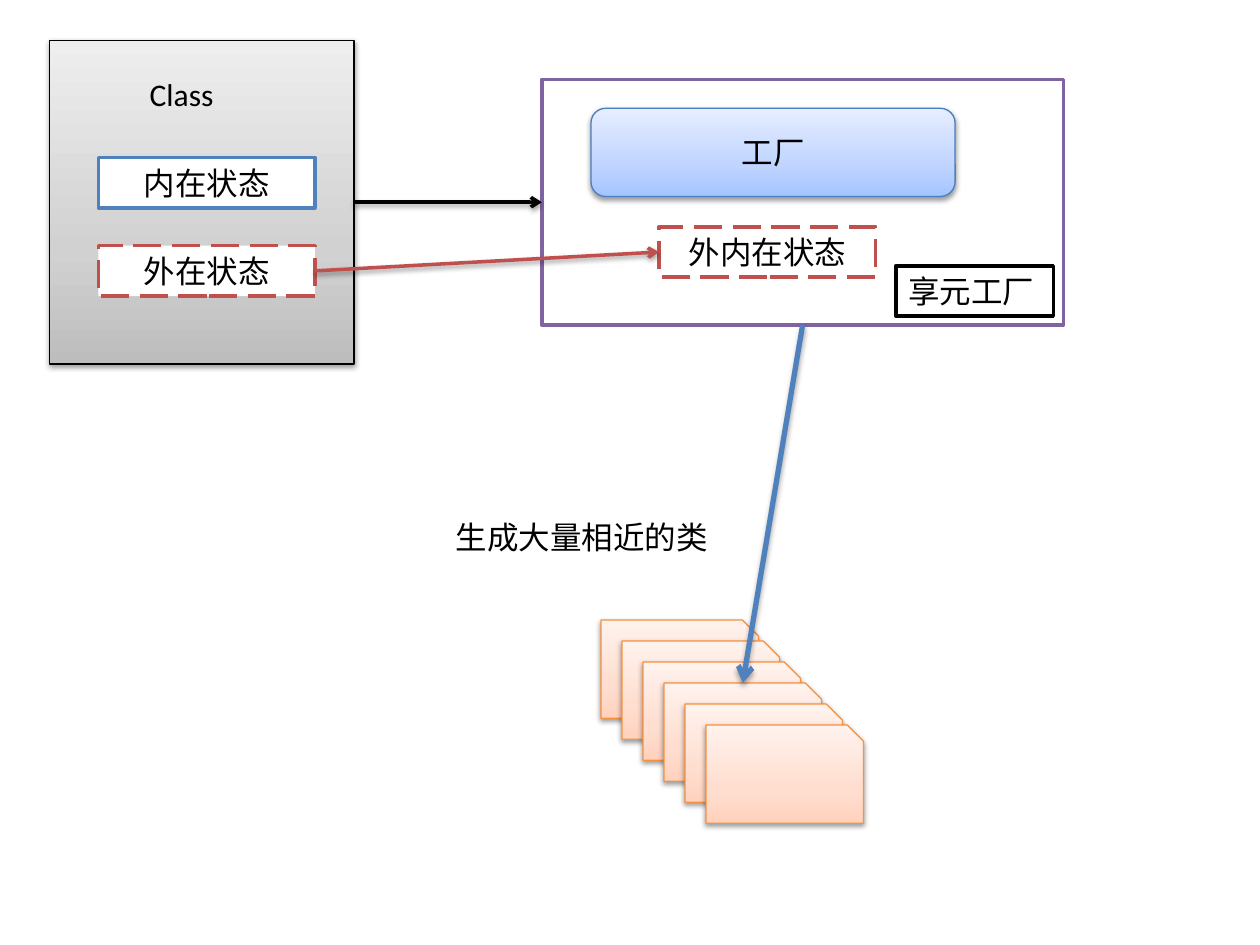
from lxml import etree
from pptx import Presentation
from pptx.dml.color import RGBColor
from pptx.enum import dml, shapes, text
from pptx.oxml.ns import qn
from pptx.util import Inches, Pt

THEME = {
    "font": "Calibri", "size": 18, "ink": "000000", "paper": "FFFFFF",
    "blue": "4F81BD", "red": "C0504D", "purple": "8064A2",
    "thin": 0.75, "medium": 2, "thick": 3,
    # Gradients run upwards: colours at 0, 35 and 100 percent
    "grey_fade": ("BDBDBD", "D1D1D1", "EEEEEE"),
    "blue_fade": ("A4C4FF", "BFD4FF", "E6EEFF"),
    "peach_fade": ("FFD2BD", "FFDED0", "FFF2ED"),
    "blue_edge": "4B7EBC", "peach_edge": "F69240",
}
STOPS = (0, 35, 100)

# Content: key, place, format
LABEL = {"align": text.PP_ALIGN.CENTER, "hang": 0.38}
STATE = {**LABEL, "edge": "red", "dash": True}
CARD = {"kind": "SNIP_1_RECTANGLE", "fill": "peach_fade", "edge": "peach_edge"}
CARD_COUNT, CARD_STEP = 6, 1 / 6
PARTS = [
    ("factory frame", (4.3, 0.63, 4.14, 1.95), {"edge": "purple"}),
    ("class", (0.39, 0.32, 2.42, 2.57), {"fill": "grey_fade", "edge": "ink"}),
    ("inner state", (0.78, 1.25, 1.72, 0.4),
     {**LABEL, "words": "内在状态", "edge": "blue"}),
    ("outer state", (0.78, 1.95, 1.72, 0.4), {**STATE, "words": "外在状态"}),
    ("factory", (4.69, 0.86, 2.89, 0.7),
     {"kind": "ROUNDED_RECTANGLE", "words": "工厂", "fill": "blue_fade",
      "edge": "blue_edge", "align": text.PP_ALIGN.CENTER, "middle": True}),
    ("passed state", (5.23, 1.8, 1.72, 0.4), {**STATE, "words": "外内在状态"}),
    ("class title", (1.09, 0.55, 0.94, 0.4), {"kind": None, "words": "Class"}),
    ("flyweight factory", (7.11, 2.11, 1.25, 0.4),
     {"words": "享元工厂", "edge": "ink"}),
    ("result note", (3.52, 4.06, 2.27, 0.4),
     {"kind": None, "words": "生成大量相近的类"}),
]
PARTS += [(f"card {i}", (4.77 + i * CARD_STEP, 4.92 + i * CARD_STEP, 1.25, 0.78), CARD)
          for i in range(CARD_COUNT)]

# Arrows join connection sites of two parts
TOP, LEFT, BOTTOM, RIGHT = range(4)
ARROWS = [
    ("class", RIGHT, "factory frame", LEFT, "ink", "medium"),
    ("outer state", RIGHT, "passed state", LEFT, "red", "medium"),
    ("factory frame", BOTTOM, "card 3", TOP, "blue", "thick"),
]


def colour(name):
    return RGBColor.from_string(THEME[name])


def add_shadow(item, opacity=38):
    """Soft shadow straight below the item."""
    properties = item._element.spPr
    effects = properties.find(qn("a:effectLst"))
    if effects is None:
        effects = etree.SubElement(properties, qn("a:effectLst"))
    shadow = etree.SubElement(effects, qn("a:outerShdw"), blurRad=str(Pt(3.1)),
                              dist=str(Pt(1.6)), dir="5400000", rotWithShape="0")
    tint = etree.SubElement(shadow, qn("a:srgbClr"), val=THEME["ink"])
    etree.SubElement(tint, qn("a:alpha"), val=str(opacity * 1000))


def fade(shape, colours):
    shape.fill.gradient()
    shape.fill.gradient_angle = 90
    stops = shape._element.spPr.find(".//" + qn("a:gsLst"))
    for old in list(stops):
        stops.remove(old)
    for place, value in zip(STOPS, colours):
        stop = etree.SubElement(stops, qn("a:gs"), pos=str(place * 1000))
        etree.SubElement(stop, qn("a:srgbClr"), val=value)


def write(shape, words, align=text.PP_ALIGN.LEFT, hang=0, middle=False):
    frame = shape.text_frame
    settings = {
        "word_wrap": True,
        "auto_size": text.MSO_AUTO_SIZE.NONE if middle
        else text.MSO_AUTO_SIZE.SHAPE_TO_FIT_TEXT,
        "vertical_anchor": text.MSO_ANCHOR.MIDDLE if middle else text.MSO_ANCHOR.TOP,
    }
    for key, value in settings.items():
        setattr(frame, key, value)
    para = frame.paragraphs[0]
    para.alignment = align
    if hang:
        para_format = para._p.get_or_add_pPr()
        para_format.set("marL", str(Inches(hang)))
        para_format.set("indent", str(-Inches(hang)))
    span = para.add_run()
    span.text = words
    for key, value in {"name": THEME["font"], "size": Pt(THEME["size"])}.items():
        setattr(span.font, key, value)
    span.font.color.rgb = colour("ink")


def add_part(page, place, kind="RECTANGLE", words=None, fill="paper",
             edge=None, dash=False, **text_format):
    place = [Inches(length) for length in place]
    if kind is None:
        shape = page.shapes.add_textbox(*place)
    else:
        shape = page.shapes.add_shape(shapes.MSO_SHAPE[kind], *place)
        shape.shadow.inherit = False
        faded = isinstance(THEME[fill], tuple)
        shape.line.color.rgb = colour(edge)
        shape.line.width = Pt(THEME["thin" if faded else "medium"])
        if dash:
            shape.line.dash_style = dml.MSO_LINE.LONG_DASH
        if faded:
            fade(shape, THEME[fill])
            add_shadow(shape)
        else:
            shape.fill.solid()
            shape.fill.fore_color.rgb = colour(fill)
    if words:
        write(shape, words, **text_format)
    return shape


def add_arrow(page, start, start_site, end, end_site, tint, width):
    arrow = page.shapes.add_connector(shapes.MSO_CONNECTOR.STRAIGHT,
                                      start.left, start.top, end.left, end.top)
    arrow.begin_connect(start, start_site)
    arrow.end_connect(end, end_site)
    arrow.line.color.rgb = colour(tint)
    arrow.line.width = Pt(THEME[width])
    etree.SubElement(arrow.line._get_or_add_ln(), qn("a:tailEnd"), type="arrow")
    add_shadow(arrow, 35 if width == "thick" else 38)


# Build the slide
deck = Presentation()
deck.slide_width, deck.slide_height = Inches(10), Inches(7.5)
page = deck.slides.add_slide(deck.slide_layouts[6])
parts = {key: add_part(page, place, **look) for key, place, look in PARTS}
for start, start_site, end, end_site, tint, width in ARROWS:
    add_arrow(page, parts[start], start_site, parts[end], end_site, tint, width)
deck.save("out.pptx")
